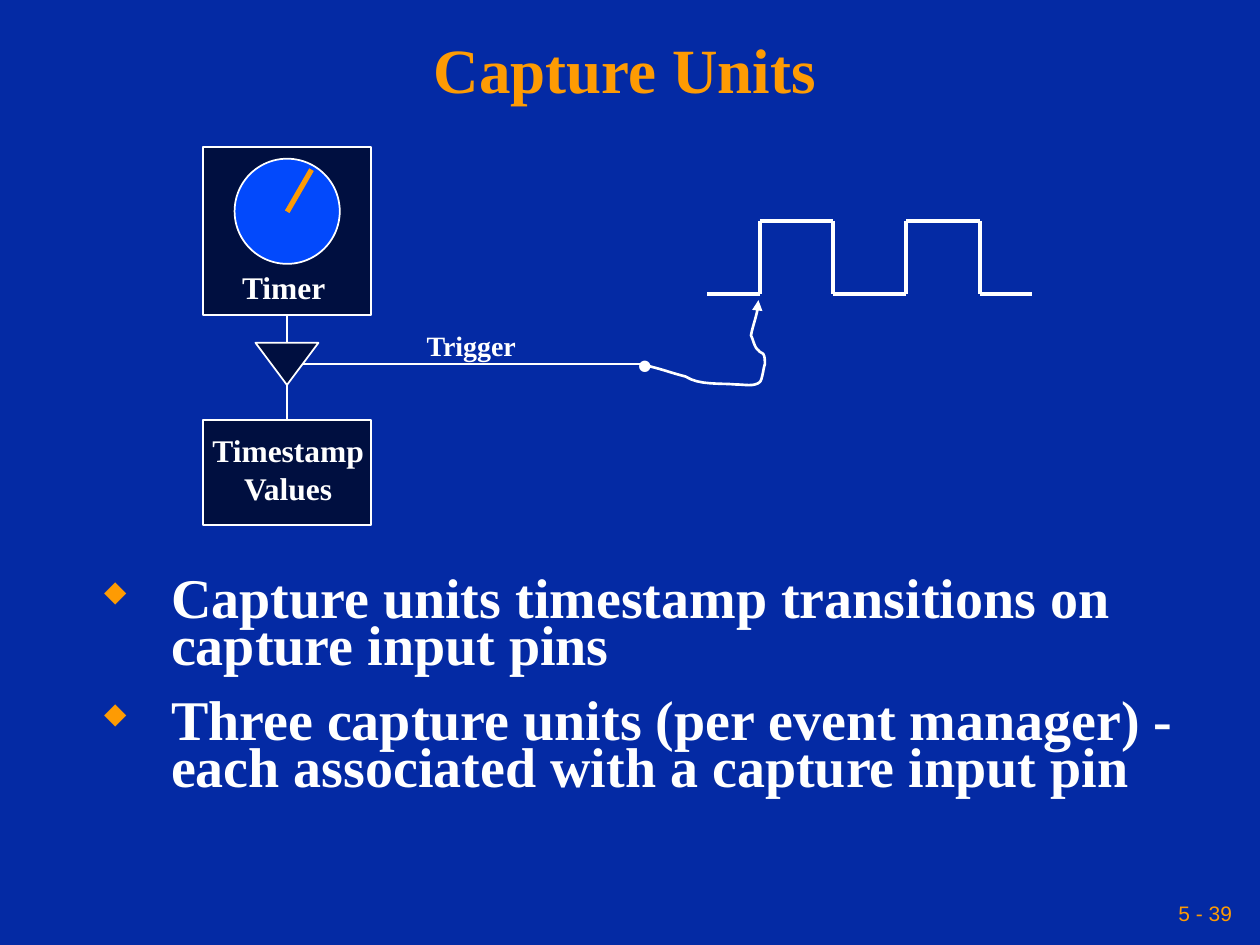
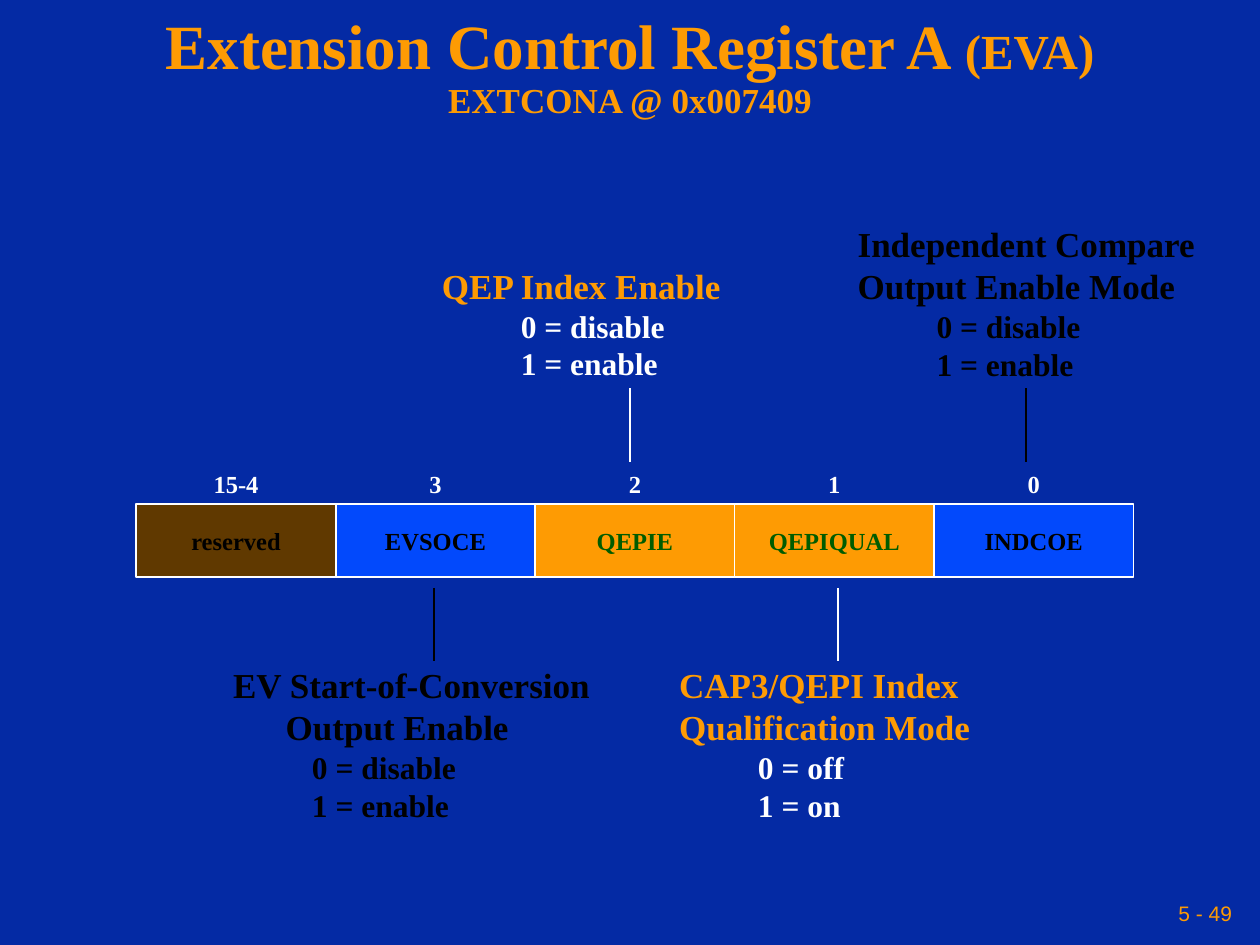
"""Build two slides on capture units and a control register."""
import itertools

import lxml.etree
import pptx
import pptx.dml.color
import pptx.enum.shapes
import pptx.enum.text
import pptx.oxml.ns
import pptx.util

Cm = pptx.util.Cm
Pt = pptx.util.Pt
qn = pptx.oxml.ns.qn
Shape = pptx.enum.shapes.MSO_SHAPE
Align = pptx.enum.text.PP_ALIGN
Anchor = pptx.enum.text.MSO_ANCHOR

INK = {
    "back": "042AA4",
    "gold": "FE9B03",
    "white": "FFFFFF",
    "black": "000000",
    "navy": "000F40",
    "blue": "0249FC",
    "brown": "603900",
    "green": "005C00",
}


def tint(name):
    return pptx.dml.color.RGBColor.from_string(INK[name])


def add(node, tag, **attrs):
    return lxml.etree.SubElement(node, qn(tag), attrs)


def trace(start, curves, steps=8):
    points = [start]
    for a, b, c in curves:
        first = points[-1]
        for step in range(1, steps + 1):
            t = step / steps
            mix = ((1 - t) ** 3, 3 * t * (1 - t) ** 2, 3 * t * t * (1 - t), t ** 3)
            points.append(tuple(
                sum(m * p[axis] for m, p in zip(mix, (first, a, b, c)))
                for axis in (0, 1)))
    return points


class Deck:
    serif = "Times New Roman"
    sans = "Arial"

    def __init__(self):
        self.show = pptx.Presentation()
        self.show.slide_width = Cm(25.4)
        self.show.slide_height = Cm(19.05)

    def page(self, number):
        self.slide = self.show.slides.add_slide(self.show.slide_layouts[6])
        fill = self.slide.background.fill
        fill.solid()
        fill.fore_color.rgb = tint("back")
        self.text((17.35, 17.98, 7.62, 0.84), [number], 12, "gold", Align.RIGHT,
                  pad=0.13, bold=False, font=self.sans)

    def style(self, runs, size, color, bold=True, font=serif):
        for run in runs:
            run.font.size = Pt(size)
            run.font.name = font
            run.font.bold = bold
            run.font.color.rgb = tint(color)

    def text(self, box, lines, size, color, align=Align.LEFT, anchor=Anchor.MIDDLE,
             pad=0.25, wrap=False, **look):
        frame = self.slide.shapes.add_textbox(*map(Cm, box)).text_frame
        frame.word_wrap = wrap
        frame.vertical_anchor = anchor
        frame.margin_left = frame.margin_right = Cm(pad)
        frame.text = "\n".join(lines)
        for para in frame.paragraphs:
            para.alignment = align
            self.style(para.runs, size, color, **look)
        return frame

    def title(self, box, lines, tail=""):
        frame = self.text(box, lines, 36, "gold", Align.CENTER, wrap=True)
        for para in frame.paragraphs:
            para.line_spacing = 0.9
        for para in frame.paragraphs[1:]:
            self.style(para.runs, 20, "gold")
        if tail:
            run = frame.paragraphs[0].add_run()
            run.text = tail
            self.style([run], 28, "gold")

    def points(self, box, lines):
        frame = self.text(box, lines, 32, "white", anchor=Anchor.TOP, wrap=True)
        for spot, para in enumerate(frame.paragraphs):
            para.line_spacing = 0.7
            para.space_before = Pt(16 if spot else 0)
            props = para._p.get_or_add_pPr()
            props.set("marL", str(Cm(1.52)))
            props.set("indent", str(-Cm(1.35)))
            add(add(props, "a:buClr"), "a:srgbClr", val=INK["gold"])
            add(props, "a:buSzPct", val="52000")
            add(props, "a:buChar", char="◆")

    def shape(self, kind, box, fill):
        shape = self.slide.shapes.add_shape(kind, *map(Cm, box))
        shape.shadow.inherit = False
        shape.fill.solid()
        shape.fill.fore_color.rgb = tint(fill)
        shape.line.color.rgb = tint("white")
        shape.line.width = Pt(1)
        return shape

    def line(self, start, end, color="white", width=1):
        line = self.slide.shapes.add_connector(
            pptx.enum.shapes.MSO_CONNECTOR.STRAIGHT, *map(Cm, start + end))
        line.line.color.rgb = tint(color)
        line.line.width = Pt(width)
        add(line._element.spPr, "a:effectLst")

    def arrow(self, points):
        spots = [(Cm(x), Cm(y)) for x, y in points]
        build = self.slide.shapes.build_freeform(*spots[0])
        build.add_line_segments(spots[1:], close=False)
        curve = build.convert_to_shape()
        curve.shadow.inherit = False
        curve.fill.background()
        curve.line.color.rgb = tint("white")
        curve.line.width = Pt(1.5)
        add(curve.line._get_or_add_ln(), "a:tailEnd", type="triangle")

    def cell(self, box, name, fill, color):
        frame = self.shape(Shape.RECTANGLE, box, fill).text_frame
        frame.word_wrap = False
        frame.vertical_anchor = Anchor.MIDDLE
        frame.text = name
        frame.paragraphs[0].alignment = Align.CENTER
        self.style(frame.paragraphs[0].runs, 14, color)

    def note(self, box, heads, modes, head, body, shift=0):
        frame = self.text(box, heads + modes, 20, head, anchor=Anchor.TOP)
        paras = frame.paragraphs
        for para in paras[len(heads):]:
            para._p.get_or_add_pPr().set("marL", str(Cm(1.59)))
            self.style(para.runs, 18, body)
        if shift:
            paras[1]._p.get_or_add_pPr().set("marL", str(Cm(shift)))


def capture(deck):
    deck.page("5 - 39")
    deck.title((0, 0.41, 25.2, 2.12), ["Capture Units"])
    deck.points((1.68, 11.59, 23.29, 5.16), [
        "Capture units timestamp transitions on capture input pins",
        "Three capture units (per event manager) - each associated with a capture input pin",
    ])

    deck.shape(Shape.RECTANGLE, (4.09, 2.96, 3.39, 3.39), "navy")
    deck.shape(Shape.OVAL, (4.73, 3.2, 2.12, 2.12), "blue")
    deck.line((5.79, 4.27), (6.28, 3.42), "gold", 3)
    deck.text((4.22, 5.28, 3, 1.02), ["Timer"], 18, "white", Align.CENTER)
    deck.shape(Shape.RECTANGLE, (4.09, 8.47, 3.39, 2.12), "navy")
    deck.text((3.81, 8.57, 4, 1.78), ["Timestamp", "Values"], 18, "white", Align.CENTER)

    deck.line((5.79, 6.35), (5.79, 8.47))
    gate = deck.shape(Shape.ISOSCELES_TRIANGLE, (5.15, 6.91, 1.27, 0.85), "navy")
    gate.rotation = 180
    deck.line((6.1, 7.34), (13.08, 7.34))
    deck.text((8, 6.5, 3, 0.94), ["Trigger"], 16, "white", Align.CENTER)

    high, low = 4.45, 5.92
    wave = [(14.25, low)]
    for edge, level in zip((15.32, 16.79, 18.27, 19.76), (high, low, high, low)):
        wave += [(edge, wave[-1][1]), (edge, level)]
    wave.append((20.8, low))
    for start, end in itertools.pairwise(wave):
        deck.line(start, end, width=2.25)

    deck.arrow(trace((13.03, 7.37), [
        ((13.28, 7.42), (13.54, 7.52), (13.82, 7.59)),
        ((14.1, 7.77), (14.53, 7.72), (14.83, 7.75)),
        ((15.01, 7.75), (15.21, 7.8), (15.32, 7.7)),
        ((15.37, 7.65), (15.39, 7.42), (15.42, 7.34)),
        ((15.42, 7.26), (15.42, 7.19), (15.39, 7.14)),
        ((15.37, 7.11), (15.32, 7.11), (15.29, 7.06)),
        ((15.21, 7.01), (15.19, 6.86), (15.14, 6.76)),
        ((15.19, 6.5), (15.29, 6.3), (15.29, 6.05)),
    ]))
    deck.text((12.57, 5.94, 0.86, 1.96), ["."], 40, "white", Align.CENTER)


def control(deck):
    deck.page("5 - 49")
    deck.title((1.9, 0.64, 21.6, 1.47),
               ["Extension Control Register A ", "EXTCONA @ 0x007409"], "(EVA)")

    left, wide = 2.75, 4.02
    fields = [
        ("15-4", "reserved", "brown", "black"),
        ("3", "EVSOCE", "blue", "black"),
        ("2", "QEPIE", "gold", "green"),
        ("1", "QEPIQUAL", "gold", "green"),
        ("0", "INDCOE", "blue", "black"),
    ]
    for spot, (bit, name, fill, color) in enumerate(fields):
        x = left + spot * wide
        deck.cell((x, 10.16, wide, 1.48), name, fill, color)
        deck.text((x, 9.38, wide, 0.74), [bit], 14, "white", Align.CENTER, wrap=True)

    switch = ["0 = disable", "1 = enable"]
    deck.note((17.04, 4.37, 7.32, 3.45), ["Independent Compare", "Output Enable Mode"],
              switch, "black", "black")
    deck.note((8.66, 5.21, 6.17, 2.62), ["QEP Index Enable"], switch, "gold", "white")
    deck.note((13.44, 13.26, 6.38, 3.45), ["CAP3/QEPI Index", "Qualification Mode"],
              ["0 = off", "1 = on"], "gold", "white")
    deck.note((4.45, 13.26, 7.72, 3.45), ["EV Start-of-Conversion", "Output Enable"],
              switch, "black", "black", shift=1.06)

    for x, y, color in ((20.68, 7.83, "black"), (12.7, 7.83, "white"),
                        (16.89, 11.85, "white"), (8.75, 11.85, "black")):
        deck.line((x, y), (x, y + 1.48), color)


def main():
    deck = Deck()
    capture(deck)
    control(deck)
    deck.show.save("out.pptx")


if __name__ == "__main__":
    main()
